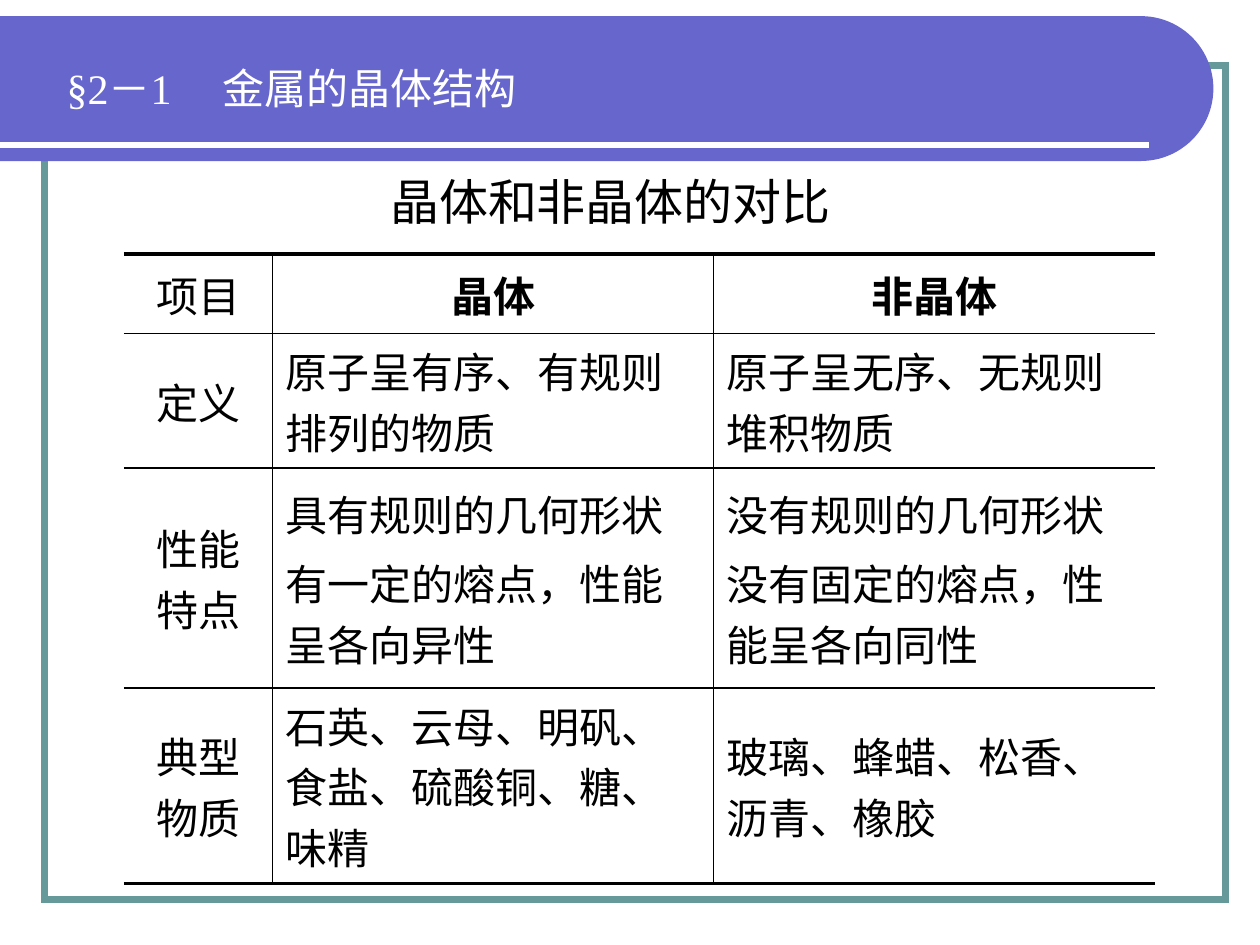
import math

from lxml import etree
from pptx import Presentation
from pptx import util as u
from pptx.dml.color import RGBColor
from pptx.enum import lang, shapes, text
from pptx.oxml import ns

COLORS = {"band": "6666CC", "frame": "669999", "ink": "000000", "paper": "FFFFFF"}
FONT = "Times New Roman"
COLUMN_WIDTHS = [85, 252, 252.5]
ROW_HEIGHTS = [45.4, 77, 125.6, 111.6]
COMPARISON = [
    [["项目"], ["晶体"], ["非晶体"]],
    [["定义"], ["原子呈有序、有规则排列的物质"], ["原子呈无序、无规则堆积物质"]],
    [["性能特点"],
     ["具有规则的几何形状", "有一定的熔点，性能呈各向异性"],
     ["没有规则的几何形状", "没有固定的熔点，性能呈各向同性"]],
    [["典型物质"], ["石英、云母、明矾、食盐、硫酸铜、糖、味精"], ["玻璃、蜂蜡、松香、沥青、橡胶"]],
]


def rgb(name):
    return RGBColor.from_string(COLORS[name])


def add_words(paragraph, words, size, color="ink", bold=False):
    run = paragraph.add_run()
    run.text = words
    run.font.name = FONT
    run.font.size = u.Pt(size)
    run.font.bold = bold
    run.font.color.rgb = rgb(color)
    run.font.language_id = lang.MSO_LANGUAGE_ID.SIMPLIFIED_CHINESE


def add_text_box(slide, left, top, width, height):
    box = slide.shapes.add_textbox(u.Pt(left), u.Pt(top), u.Pt(width), u.Pt(height))
    box.text_frame.word_wrap = True
    return box.text_frame


def add_frame(slide):
    frame = slide.shapes.add_shape(
        shapes.MSO_SHAPE.RECTANGLE, u.Pt(25.4), u.Pt(37.6), u.Pt(674.8), u.Pt(476.2))
    frame.shadow.inherit = False
    frame.fill.background()
    frame.line.color.rgb = rgb("frame")
    frame.line.width = u.Pt(4)
    etree.SubElement(frame.line._get_or_add_ln(), ns.qn("a:miter"), lim="800000")


def add_band(slide):
    top, radius, arc_left, steps = 9.2, 41.4, 652, 48
    angles = [math.pi * (step / steps - 0.5) for step in range(steps + 1)]
    arc = [(arc_left + radius * math.cos(a), top + radius * (1 + math.sin(a)))
           for a in angles]
    outline = slide.shapes.build_freeform(0, u.Pt(top))
    outline.add_line_segments(
        [(u.Pt(x), u.Pt(y)) for x, y in arc + [(0, top + 2 * radius)]], close=True)
    band = outline.convert_to_shape()
    band.shadow.inherit = False
    band.fill.solid()
    band.fill.fore_color.rgb = rgb("band")
    band.line.fill.background()


def add_rule(slide):
    rule = slide.shapes.add_connector(
        shapes.MSO_CONNECTOR.STRAIGHT, 0, u.Pt(82.8), u.Pt(656.6), u.Pt(82.8))
    rule.line.color.rgb = rgb("paper")
    rule.line.width = u.Pt(3)
    etree.SubElement(rule._element.spPr, ns.qn("a:effectLst"))


def add_section_title(slide):
    frame = add_text_box(slide, 31, 32.4, 422.6, 36)
    frame.auto_size = text.MSO_AUTO_SIZE.SHAPE_TO_FIT_TEXT
    title = frame.paragraphs[0]
    stops = etree.SubElement(title._p.get_or_add_pPr(), ns.qn("a:tabLst"))
    etree.SubElement(stops, ns.qn("a:tab"), pos=str(u.Pt(89)), algn="l")
    add_words(title, "§2－1\t金属的晶体结构", 24, "paper")


def add_table_heading(slide):
    heading = add_text_box(slide, 195.8, 94.3, 306, 47.5).paragraphs[0]
    heading.alignment = text.PP_ALIGN.CENTER
    add_words(heading, "晶体和非晶体的对比", 28)


def set_borders(cell, widths):
    properties = cell._tc.get_or_add_tcPr()
    for side, width in widths.items():
        border = etree.SubElement(properties, ns.qn(f"a:ln{side}"), w=str(u.Pt(width)))
        if width:
            fill = etree.SubElement(border, ns.qn("a:solidFill"))
            etree.SubElement(fill, ns.qn("a:srgbClr"), val=COLORS["ink"])
        else:
            etree.SubElement(border, ns.qn("a:noFill"))


def fill_cell(cell, lines, centered, bold):
    cell.fill.background()
    cell.vertical_anchor = text.MSO_ANCHOR.MIDDLE
    frame = cell.text_frame
    for index, line in enumerate(lines):
        paragraph = frame.add_paragraph() if index else frame.paragraphs[0]
        if index:
            paragraph.space_before = u.Pt(4.8)
        paragraph.alignment = text.PP_ALIGN.CENTER if centered else text.PP_ALIGN.LEFT
        add_words(paragraph, line, 24, bold=bold)


def add_comparison(slide):
    last_row, last_column = len(ROW_HEIGHTS) - 1, len(COLUMN_WIDTHS) - 1
    table = slide.shapes.add_table(
        len(ROW_HEIGHTS), len(COLUMN_WIDTHS), u.Pt(70.8), u.Pt(145.2),
        u.Pt(sum(COLUMN_WIDTHS)), u.Pt(sum(ROW_HEIGHTS))).table
    table.first_row = table.horz_banding = False
    for column, width in zip(table.columns, COLUMN_WIDTHS):
        column.width = u.Pt(width)
    for row, height in zip(table.rows, ROW_HEIGHTS):
        row.height = u.Pt(height)
    for r, row in enumerate(COMPARISON):
        for c, lines in enumerate(row):
            cell = table.cell(r, c)
            set_borders(cell, {
                "L": 1 if c else 0,
                "R": 1 if c < last_column else 0,
                "T": 1 if r else 2.25,
                "B": 1 if r < last_row else 2.25,
            })
            fill_cell(cell, lines, centered=r == 0 or c == 0, bold=r == 0 and c > 0)


def main():
    deck = Presentation()
    deck.slide_width, deck.slide_height = u.Pt(720), u.Pt(540)
    slide = deck.slides.add_slide(deck.slide_layouts[6])
    add_frame(slide)
    add_band(slide)
    add_rule(slide)
    add_table_heading(slide)
    add_comparison(slide)
    add_section_title(slide)
    deck.save("out.pptx")


if __name__ == "__main__":
    main()
